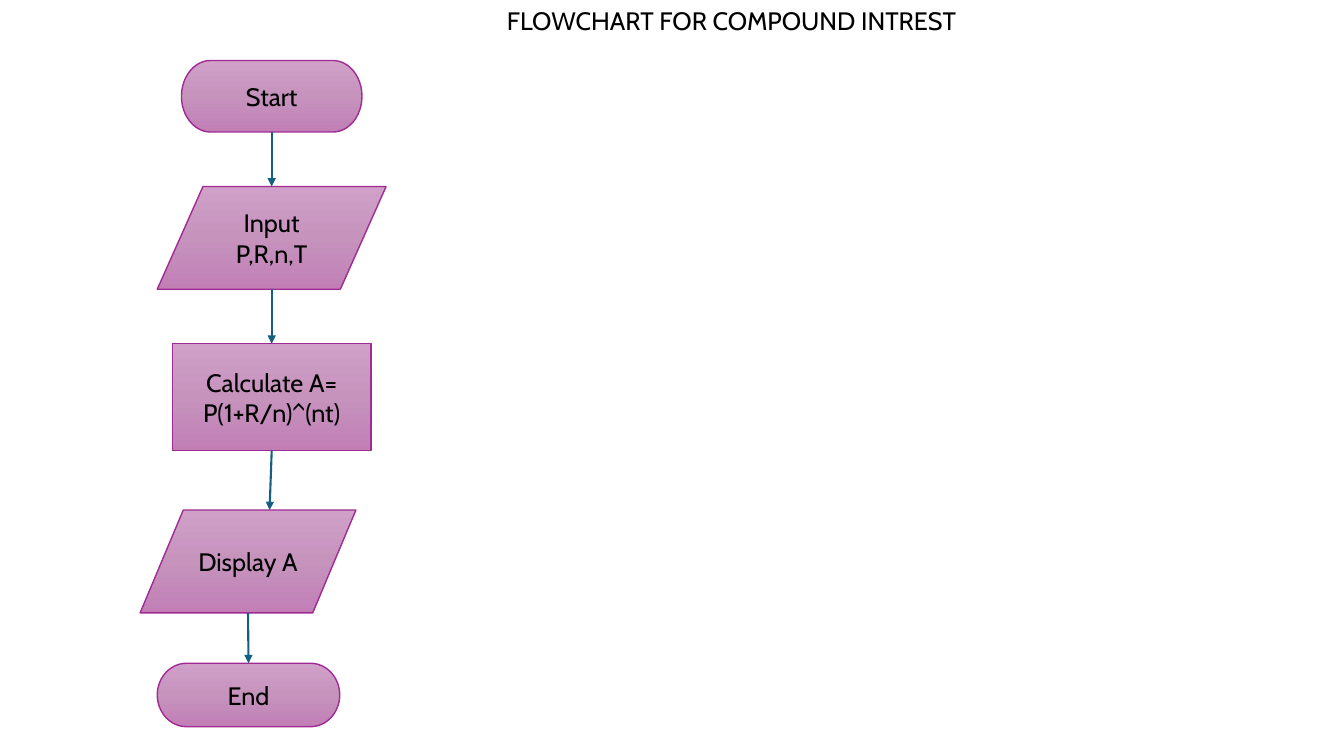
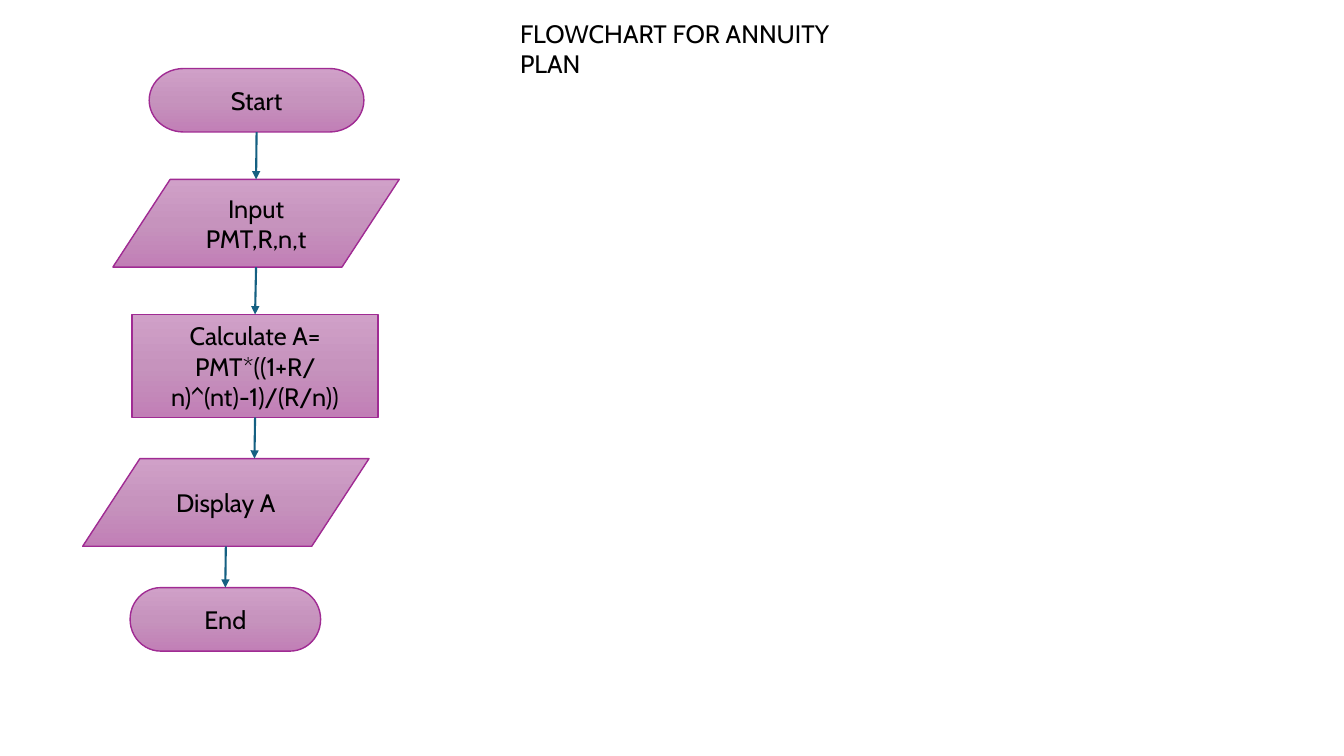
import copy

import lxml.etree
import pptx
import pptx.dml.color
import pptx.enum.shapes
import pptx.enum.text
import pptx.oxml.ns
import pptx.util

Inches, Pt = pptx.util.Inches, pptx.util.Pt
RGB = pptx.dml.color.RGBColor.from_string
qn = pptx.oxml.ns.qn
SHAPE = pptx.enum.shapes.MSO_SHAPE
ALIGN = pptx.enum.text.PP_ALIGN

COLORS = {"text": "000000", "outline": "A02B93", "arrow": "156082"}
GRADIENT = [(0, "D0A0C8"), (0.5, "C693BD"), (1, "C17FB6")]
FONT = {"name": "Cabin", "size": Pt(18)}
KINDS = {
    "terminator": SHAPE.FLOWCHART_TERMINATOR,
    "data": SHAPE.FLOWCHART_DATA,
    "process": SHAPE.FLOWCHART_PROCESS,
}

# Step: kind, lines of text, (left, top, width, height),
# and how far along its top edge the incoming arrow lands.
CHARTS = [
    {
        "title": "FLOWCHART FOR COMPOUND INTREST",
        "title_box": (4.93, 0, 4.94, 0.4),
        "steps": [
            ("terminator", ["Start"], (1.8, 0.6, 1.79, 0.71), 0.5),
            ("data", ["Input P,R,n,T"], (1.56, 1.85, 2.27, 1.02), 0.5),
            ("process", ["Calculate A=", "P(1+R/n)^(nt)"], (1.71, 3.41, 1.97, 1.06), 0.5),
            ("data", ["Display A"], (1.39, 5.06, 2.14, 1.02), 0.6),
            ("terminator", ["End"], (1.56, 6.58, 1.81, 0.63), 0.5),
        ],
    },
    {
        "title": "FLOWCHART FOR ANNUITY PLAN",
        "title_box": (5.06, 0.13, 3.86, 0.4),
        "steps": [
            ("terminator", ["Start"], (1.48, 0.68, 2.13, 0.63), 0.5),
            ("data", ["Input PMT,R,n,t"], (1.12, 1.78, 2.84, 0.87), 0.5),
            ("process", ["Calculate A=", "PMT*((1+R/n)^(nt)-1)/(R/n))"],
             (1.31, 3.12, 2.44, 1.02), 0.5),
            ("data", ["Display A"], (0.82, 4.55, 2.84, 0.87), 0.6),
            ("terminator", ["End"], (1.29, 5.83, 1.89, 0.63), 0.5),
        ],
    },
]


def write(tf, lines, align):
    tf.word_wrap = True
    for i, line in enumerate(lines):
        p = tf.paragraphs[0] if i == 0 else tf.add_paragraph()
        p.alignment = align
        r = p.add_run()
        r.text = line
        for key, value in FONT.items():
            setattr(r.font, key, value)
        r.font.color.rgb = RGB(COLORS["text"])


def fill_gradient(sp):
    """Fill from top to bottom with the three shared stops."""
    sp.fill.gradient()
    sp.fill.gradient_angle = 270
    stops = sp._element.spPr.find(".//" + qn("a:gsLst"))
    stops.insert(1, copy.deepcopy(stops[0]))
    for stop, (position, color) in zip(sp.fill.gradient_stops, GRADIENT):
        stop.position = position
        stop.color.rgb = RGB(color)


def add_title(slide, text, box):
    tf = slide.shapes.add_textbox(*map(Inches, box)).text_frame
    write(tf, [text], ALIGN.LEFT)
    tf.auto_size = pptx.enum.text.MSO_AUTO_SIZE.SHAPE_TO_FIT_TEXT


def add_step(slide, kind, lines, box):
    sp = slide.shapes.add_shape(KINDS[kind], *map(Inches, box))
    sp.shadow.inherit = False
    fill_gradient(sp)
    sp.line.color.rgb = RGB(COLORS["outline"])
    sp.line.width = Pt(1)
    sp.text_frame.vertical_anchor = pptx.enum.text.MSO_ANCHOR.MIDDLE
    write(sp.text_frame, lines, ALIGN.CENTER)


def add_arrow(slide, upper, lower, entry):
    """Join the bottom centre of one box to the top edge of the next."""
    x1, y1 = upper[0] + upper[2] / 2, upper[1] + upper[3]
    x2, y2 = lower[0] + lower[2] * entry, lower[1]
    arrow = slide.shapes.add_connector(
        pptx.enum.shapes.MSO_CONNECTOR.STRAIGHT, *map(Inches, (x1, y1, x2, y2)))
    arrow.line.color.rgb = RGB(COLORS["arrow"])
    arrow.line.width = Pt(1.5)
    spPr = arrow._element.spPr
    lxml.etree.SubElement(spPr.find(qn("a:ln")), qn("a:tailEnd"), type="triangle")
    lxml.etree.SubElement(spPr, qn("a:effectLst"))


def add_flowchart(prs, chart):
    slide = prs.slides.add_slide(prs.slide_layouts[6])
    steps = chart["steps"]
    for kind, lines, box, _ in steps:
        add_step(slide, kind, lines, box)
    for (_, _, upper, _), (_, _, lower, entry) in zip(steps, steps[1:]):
        add_arrow(slide, upper, lower, entry)
    add_title(slide, chart["title"], chart["title_box"])


def main():
    prs = pptx.Presentation()
    prs.slide_width, prs.slide_height = Inches(13.33), Inches(7.5)
    for chart in CHARTS:
        add_flowchart(prs, chart)
    prs.save("out.pptx")


if __name__ == "__main__":
    main()
